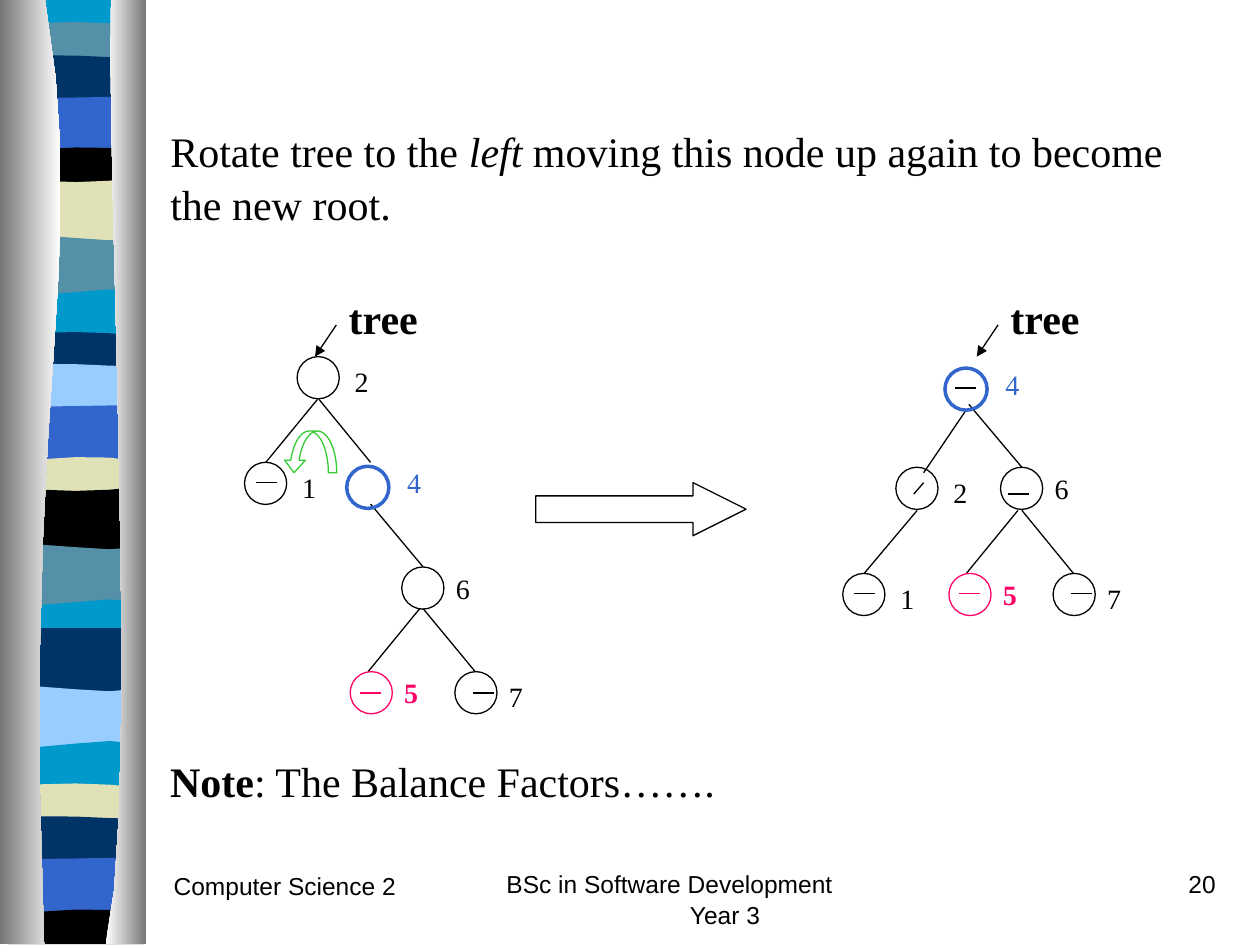
"""Build a slide that shows a left rotation in a balanced binary tree."""
from lxml.etree import SubElement
from pptx import Presentation
from pptx.dml.color import RGBColor
from pptx.enum.shapes import MSO_CONNECTOR, MSO_SHAPE
from pptx.enum.text import MSO_ANCHOR, MSO_AUTO_SIZE, PP_ALIGN
from pptx.oxml.ns import qn
from pptx.util import Cm, Pt

BLACK = RGBColor(0x00, 0x00, 0x00)
WHITE = RGBColor(0xFF, 0xFF, 0xFF)
GREY = RGBColor(0x76, 0x76, 0x76)
CYAN = RGBColor(0x00, 0x99, 0xCC)
TEAL = RGBColor(0x54, 0x90, 0xA8)
NAVY = RGBColor(0x00, 0x33, 0x66)
BLUE = RGBColor(0x33, 0x66, 0xCC)
SKY = RGBColor(0x99, 0xCC, 0xFF)
SAND = RGBColor(0xE1, 0xE1, 0xB7)
PINK = RGBColor(0xFF, 0x00, 0x66)
GREEN = RGBColor(0x33, 0xCC, 0x33)

SERIF, SANS = "Times New Roman", "Arial"
HEADING = [("Rotate tree to the ", ""), ("left", "italic"),
           (" moving this node up again to become the new root.", "")]
NOTE = [("Note", "bold"), (": The Balance Factors…….", "")]
FOOTERS = [
    ("BSc in Software Development Year 3", (9.96, 17.35, 8.05, 1.27), {"hanging": 3.7}),
    ("20", (19.48, 17.35, 5.28, 1.27), {"align": PP_ALIGN.RIGHT}),
    ("Computer Science 2", (3.25, 17.4, 5.28, 1.27), {}),
]

RIBBON_LEFT, RIBBON_RIGHT, RIBBON_BOTTOM, BAND_OVERLAP = 0.15, 2.9, 19.03, 0.2
BANDS = [
    (CYAN, 0, 0, 0), (TEAL, 0.53, -0.13, -0.1), (NAVY, 1.17, -0.13, 0),
    (BLUE, 1.96, 0.05, -0.03), (BLACK, 3.07, -0.08, -0.18), (SAND, 3.56, 0.15, 0.15),
    (TEAL, 4.78, -0.15, 0.2), (CYAN, 5.89, 0.2, -0.2), (NAVY, 6.78, -0.13, -0.1),
    (SKY, 7.39, -0.13, 0), (BLUE, 8.18, 0.05, -0.03), (SAND, 9.32, -0.08, -0.2),
    (BLACK, 9.8, 0.13, 0.13), (TEAL, 11.02, -0.15, 0.18), (CYAN, 12.14, 0.2, -0.2),
    (NAVY, 12.67, 0, 0), (SKY, 13.87, -0.13, 0.2), (CYAN, 15.01, 0.18, -0.23),
    (SAND, 15.88, -0.13, -0.1), (NAVY, 16.51, -0.13, 0), (BLUE, 17.3, 0.05, -0.03),
    (BLACK, 18.44, -0.08, -0.2),
]
RAILS = [
    (0, [(0.91, 0), (1.83, 5.49), (0.43, 7.52), (0.89, 19.03)], (GREY, WHITE)),
    (2.95, [(2.24, 0), (2.13, 3.18), (2.84, 16.41), (2.13, 19.03)], (WHITE, GREY)),
]

NODE_SIZE, DASH_LENGTH = 0.85, 0.42
NODE_STYLES = {"4": (BLUE, 2), "5": (PINK, 0.75)}
LABEL_OFFSETS = {"1": (0.91, 0), "2": (0.91, 0), "4": (0.97, -0.18),
                 "5": (0.84, -0.08), "6": (0.84, -0.08), "7": (0.84, 0)}
TREES = [
    {
        "nodes": {"2": (5.99, 7.19), "4": (6.99, 9.4), "1": (4.93, 9.32),
                  "6": (8.1, 11.43), "5": (7.06, 13.54), "7": (9.17, 13.54)},
        "edges": [(6.43, 8.05, 7.47, 9.32), (6.4, 8.05, 5.36, 9.32),
                  (7.47, 10.16, 8.53, 11.43), (8.46, 12.27, 7.42, 13.54),
                  (8.53, 12.27, 9.58, 13.54)],
        "dashes": {"1": (5.16, 9.73), "5": (7.26, 13.97), "7": (9.53, 13.97)},
        "pointer": 6.78,
    },
    {
        "nodes": {"2": (18.06, 9.42), "4": (19.05, 7.42), "1": (16.99, 11.56),
                  "6": (20.17, 9.42), "5": (19.13, 11.56), "7": (21.23, 11.56)},
        "edges": [(18.49, 10.29, 17.42, 11.56), (19.53, 8.15, 20.6, 9.42),
                  (20.52, 10.29, 19.48, 11.56), (20.6, 10.29, 21.64, 11.56),
                  (19.48, 8.26, 18.62, 9.53), (18.62, 9.73, 18.42, 9.96)],
        "dashes": {"1": (17.22, 11.96), "5": (19.33, 11.96), "7": (21.59, 11.96),
                   "4": (19.25, 7.82), "6": (20.32, 9.96)},
        "pointer": 20.12,
    },
]


def write(slide, content, box, shape=None, font=SERIF, size=24, color=BLACK,
          bold=False, align=PP_ALIGN.LEFT, hanging=0):
    left, top, width, height = map(Cm, box)
    shape = shape or slide.shapes.add_textbox(left, top, width, height)
    shape.left, shape.top, shape.width, shape.height = left, top, width, height
    frame = shape.text_frame
    frame.word_wrap = True
    frame.auto_size = MSO_AUTO_SIZE.NONE
    frame.vertical_anchor = MSO_ANCHOR.TOP
    paragraph = frame.paragraphs[0]
    paragraph.alignment = align
    paragraph.line_spacing = 1.06
    if hanging:
        properties = paragraph._p.get_or_add_pPr()
        properties.set("marL", str(Cm(hanging)))
        properties.set("indent", str(-Cm(hanging)))
    for text, style in [(content, "")] if isinstance(content, str) else content:
        run = paragraph.add_run()
        run.text = text
        run.font.name, run.font.size = font, Pt(size)
        run.font.color.rgb = color
        run.font.bold = bold or style == "bold"
        run.font.italic = style == "italic"


def add_line(slide, ends, color=BLACK, arrow=False):
    line = slide.shapes.add_connector(MSO_CONNECTOR.STRAIGHT, *map(Cm, ends))
    line.line.color.rgb = color
    line.line.width = Pt(0.75)
    if arrow:
        SubElement(line.line._get_or_add_ln(), qn("a:tailEnd"), type="triangle")
    SubElement(line._element.spPr, qn("a:effectLst"))


def add_outline(slide, kind, box, color=BLACK, weight=0.75):
    shape = slide.shapes.add_shape(kind, *map(Cm, box))
    shape.shadow.inherit = False
    shape.fill.background()
    shape.line.color.rgb = color
    shape.line.width = Pt(weight)
    return shape


def curve(points, steps):
    weights = [((1 - t) ** 3, 3 * t * (1 - t) ** 2, 3 * t * t * (1 - t), t ** 3)
               for t in (step / steps for step in range(steps + 1))]
    return [tuple(sum(w * point[axis] for w, point in zip(row, points)) for axis in (0, 1))
            for row in weights]


def add_polygon(slide, points, colors):
    corners = [(Cm(x), Cm(y)) for x, y in points]
    builder = slide.shapes.build_freeform(*corners[0])
    builder.add_line_segments(corners[1:], close=True)
    shape = builder.convert_to_shape()
    shape.shadow.inherit = False
    shape.line.fill.background()
    if len(colors) == 1:
        shape.fill.solid()
        shape.fill.fore_color.rgb = colors[0]
    else:
        shape.fill.gradient()
        shape.fill.gradient_angle = 0
        for stop, color in zip(shape.fill.gradient_stops, colors):
            stop.color.rgb = color


def wave(top, first_bend, second_bend):
    third = (RIBBON_RIGHT - RIBBON_LEFT) / 3
    heights = (top, top + first_bend, top + second_bend, top)
    steps = 4 if first_bend or second_bend else 1
    return curve([(RIBBON_LEFT + i * third, y) for i, y in enumerate(heights)], steps)


def draw_ribbon(slide):
    next_tops = [band[1] for band in BANDS[1:]] + [RIBBON_BOTTOM]
    for (color, *edge), next_top in zip(BANDS, next_tops):
        bottom = min(next_top + BAND_OVERLAP, RIBBON_BOTTOM)
        base = [(RIBBON_RIGHT, bottom), (RIBBON_LEFT, bottom)]
        add_polygon(slide, wave(*edge) + base, [color])
    for side, points, colors in RAILS:
        add_polygon(slide, curve(points, 10) + [(side, RIBBON_BOTTOM), (side, 0)], colors)


def draw_tree(slide, tree):
    for ends in tree["edges"]:
        add_line(slide, ends)
    for label, (left, top) in tree["nodes"].items():
        color, weight = NODE_STYLES.get(label, (BLACK, 0.75))
        add_outline(slide, MSO_SHAPE.OVAL, (left, top, NODE_SIZE, NODE_SIZE), color, weight)
        right, down = LABEL_OFFSETS[label]
        write(slide, label, (left + right, top + down, 0.79, 0.94), size=16,
              color=color, bold=label == "5")
    for label, (left, top) in tree["dashes"].items():
        add_line(slide, (left, top, left + DASH_LENGTH, top), PINK if label == "5" else BLACK)
    left = tree["pointer"]
    write(slide, "tree", (left, 5.72, 2.11, 1.27), bold=True)
    add_line(slide, (left, 6.55, left - 0.43, 7.19), arrow=True)


def main():
    presentation = Presentation()
    presentation.slide_width, presentation.slide_height = Cm(25.4), Cm(19.05)
    slide = presentation.slides.add_slide(presentation.slide_layouts[5])
    draw_ribbon(slide)
    write(slide, HEADING, (3.18, 2.34, 20.75, 2.29), shape=slide.shapes.title)
    for tree in TREES:
        draw_tree(slide, tree)
    turn = add_outline(slide, MSO_SHAPE.CURVED_DOWN_ARROW, (5.72, 8.69, 1.07, 0.84), GREEN)
    turn._element.spPr.xfrm.set("flipH", "1")
    turn.adjustments[0], turn.adjustments[1], turn.adjustments[2] = 0.2, 0.5, 0.3
    step = add_outline(slide, MSO_SHAPE.RIGHT_ARROW, (10.8, 9.73, 4.24, 1.07))
    step.adjustments[0], step.adjustments[1] = 0.5, 1
    write(slide, NOTE, (3.18, 15.04, 20.52, 1.27))
    for text, box, style in FOOTERS:
        write(slide, text, box, font=SANS, size=14, **style)
    presentation.save("out.pptx")


if __name__ == "__main__":
    main()
